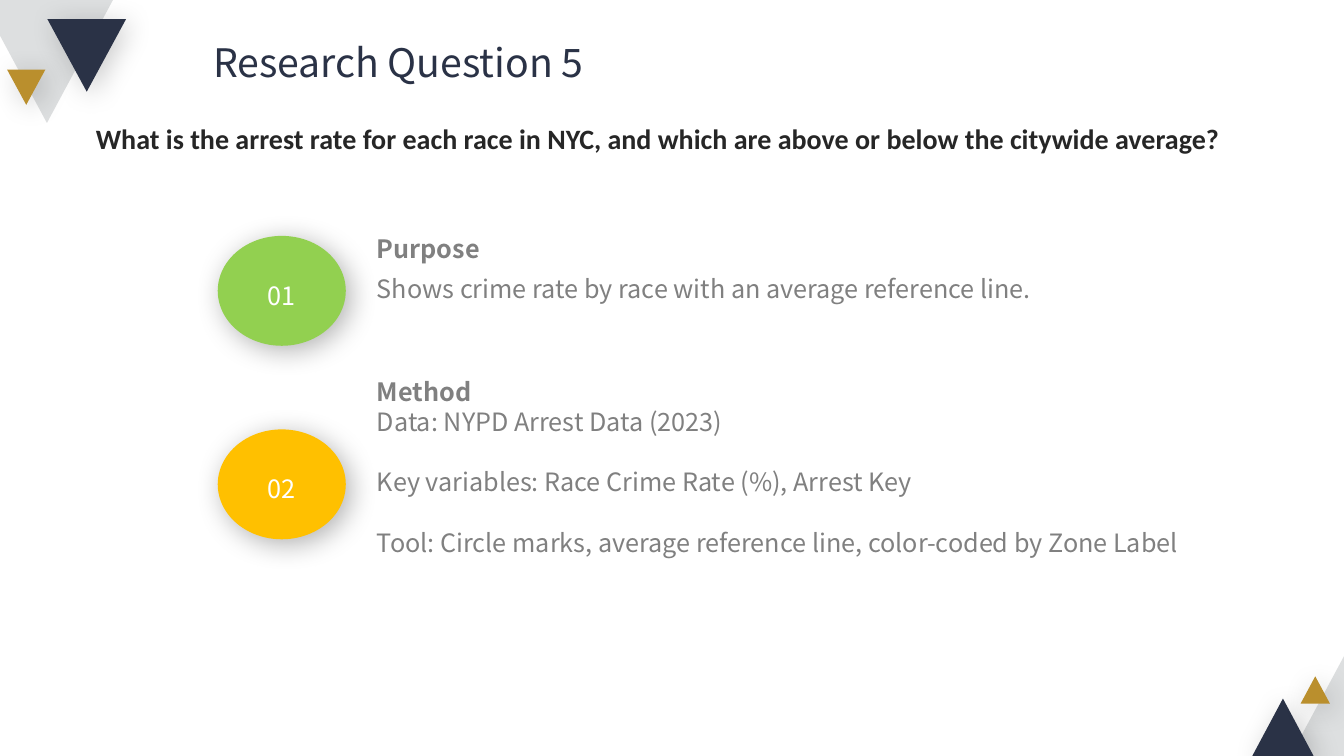
from lxml import etree
from pptx import Presentation
from pptx.dml.color import RGBColor
from pptx.enum.shapes import MSO_SHAPE as Shape
from pptx.enum.text import MSO_ANCHOR as Anchor, MSO_AUTO_SIZE as AutoSize, PP_ALIGN as Align
from pptx.oxml.ns import qn
from pptx.util import Inches, Pt

COLORS = {"navy": "2A3246", "gold": "BA8F2D", "mist": "DDDFE0", "green": "92D050",
          "amber": "FFC000", "ink": "262626", "gray": "808080", "white": "FFFFFF"}
HEADING_FONT, QUESTION_FONT = "Noto Sans CJK SC", "Calibri"

TITLE = "Research Question 5"
QUESTION = ("What is the arrest rate for each race in NYC, "
            "and which are above or below the citywide average?")

# Left, top, width, height, rotation, color, shadow opacity
TRIANGLES = [
    (-0.19, 0, 1.31, 1.22, 180, "mist", 0),
    (0.47, 0.19, 0.78, 0.72, 180, "navy", 20),
    (0.07, 0.69, 0.38, 0.35, 180, "gold", 20),
    (12.67, 6.51, 1.32, 1.23, 0, "mist", 0),
    (12.41, 6.93, 0.63, 0.59, 0, "navy", 20),
    (12.9, 6.71, 0.29, 0.27, 0, "gold", 20),
]

SECTIONS = [
    {"number": "01", "color": "green", "badge_top": 2.34, "heading": "Purpose",
     "lines": ["Shows crime rate by race with an average reference line."],
     "box": (3.64, 2.18, 9.06, 0.85), "line_spacing": 1.3, "gap": 0},
    {"number": "02", "color": "amber", "badge_top": 4.26, "heading": "Method",
     "lines": ["Data: NYPD Arrest Data (2023)",
               "Key variables: Race Crime Rate (%), Arrest Key",
               "Tool: Circle marks, average reference line, color-coded by Zone Label"],
     "box": (3.64, 3.68, 8.88, 1.92), "line_spacing": 1.0, "gap": 21.6},
]
BADGE_LEFT, BADGE_WIDTH, BADGE_HEIGHT = 2.16, 1.27, 1.09


def add_shadow(shape, opacity):
    """Soft black shadow falling to the lower right."""
    effects = shape._element.spPr.find(qn("a:effectLst"))
    shadow = etree.SubElement(effects, qn("a:outerShdw"), blurRad=str(Pt(20)),
                              dist=str(Pt(5)), dir=str(45 * 60000), algn="tl",
                              rotWithShape="0")
    black = etree.SubElement(shadow, qn("a:srgbClr"), val="000000")
    etree.SubElement(black, qn("a:alpha"), val=str(opacity * 1000))


def add_filled_shape(slide, kind, box, color, opacity):
    shape = slide.shapes.add_shape(kind, *map(Inches, box))
    shape.shadow.inherit = False
    shape.fill.solid()
    shape.fill.fore_color.rgb = RGBColor.from_string(COLORS[color])
    shape.line.fill.background()
    if opacity:
        add_shadow(shape, opacity)
    return shape


def write_paragraph(paragraph, text, color, font_format, paragraph_format):
    paragraph.text = text
    for name, value in paragraph_format.items():
        setattr(paragraph, name, value)
    font = paragraph.runs[0].font
    for name, value in font_format.items():
        setattr(font, name, value)
    font.color.rgb = RGBColor.from_string(COLORS[color])


def add_text_frame(slide, box):
    frame = slide.shapes.add_textbox(*map(Inches, box)).text_frame
    frame.word_wrap = True
    frame.auto_size = AutoSize.SHAPE_TO_FIT_TEXT
    return frame


def add_section(slide, section):
    body_font = {"name": HEADING_FONT, "size": Pt(18)}
    badge_box = (BADGE_LEFT, section["badge_top"], BADGE_WIDTH, BADGE_HEIGHT)
    badge = add_filled_shape(slide, Shape.OVAL, badge_box, section["color"], 30)
    badge.text_frame.word_wrap = False
    badge.text_frame.vertical_anchor = Anchor.MIDDLE
    write_paragraph(badge.text_frame.paragraphs[0], section["number"], "white", body_font,
                    {"alignment": Align.CENTER, "line_spacing": 1.3})

    frame = add_text_frame(slide, section["box"])
    spacing = {"line_spacing": section["line_spacing"]}
    write_paragraph(frame.paragraphs[0], section["heading"], "gray",
                    {**body_font, "bold": True}, spacing)
    for index, line in enumerate(section["lines"]):
        gap = Pt(section["gap"] if index else 0)
        write_paragraph(frame.add_paragraph(), line, "gray", body_font,
                        {**spacing, "space_before": gap})


def main():
    presentation = Presentation()
    presentation.slide_width, presentation.slide_height = Inches(13.33), Inches(7.5)
    slide = presentation.slides.add_slide(presentation.slide_layouts[6])

    for *box, rotation, color, opacity in TRIANGLES:
        triangle = add_filled_shape(slide, Shape.ISOSCELES_TRIANGLE, box, color, opacity)
        triangle.rotation = rotation

    question = add_text_frame(slide, (0.95, 1.21, 11.88, 0.34))
    for side in ("left", "top", "right", "bottom"):
        setattr(question, f"margin_{side}", 0)
    write_paragraph(question.paragraphs[0], QUESTION, "ink",
                    {"name": QUESTION_FONT, "size": Pt(20), "bold": True}, {})

    title = add_text_frame(slide, (0.95, 0.24, 6, 0.62))
    write_paragraph(title.paragraphs[0], TITLE, "navy",
                    {"name": HEADING_FONT, "size": Pt(28)},
                    {"alignment": Align.CENTER, "line_spacing": 1.2})

    for section in SECTIONS:
        add_section(slide, section)
    presentation.save("out.pptx")


if __name__ == "__main__":
    main()
